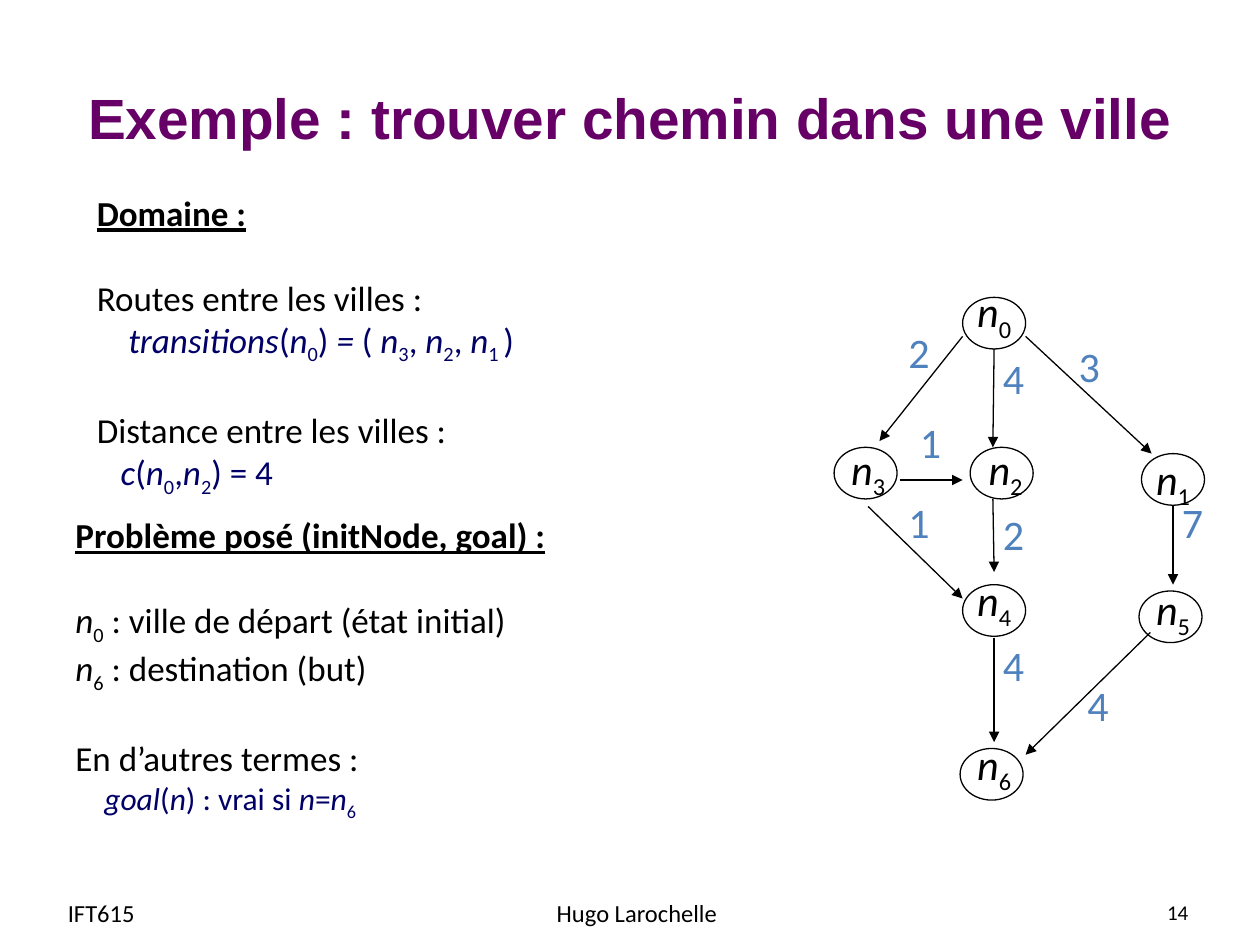
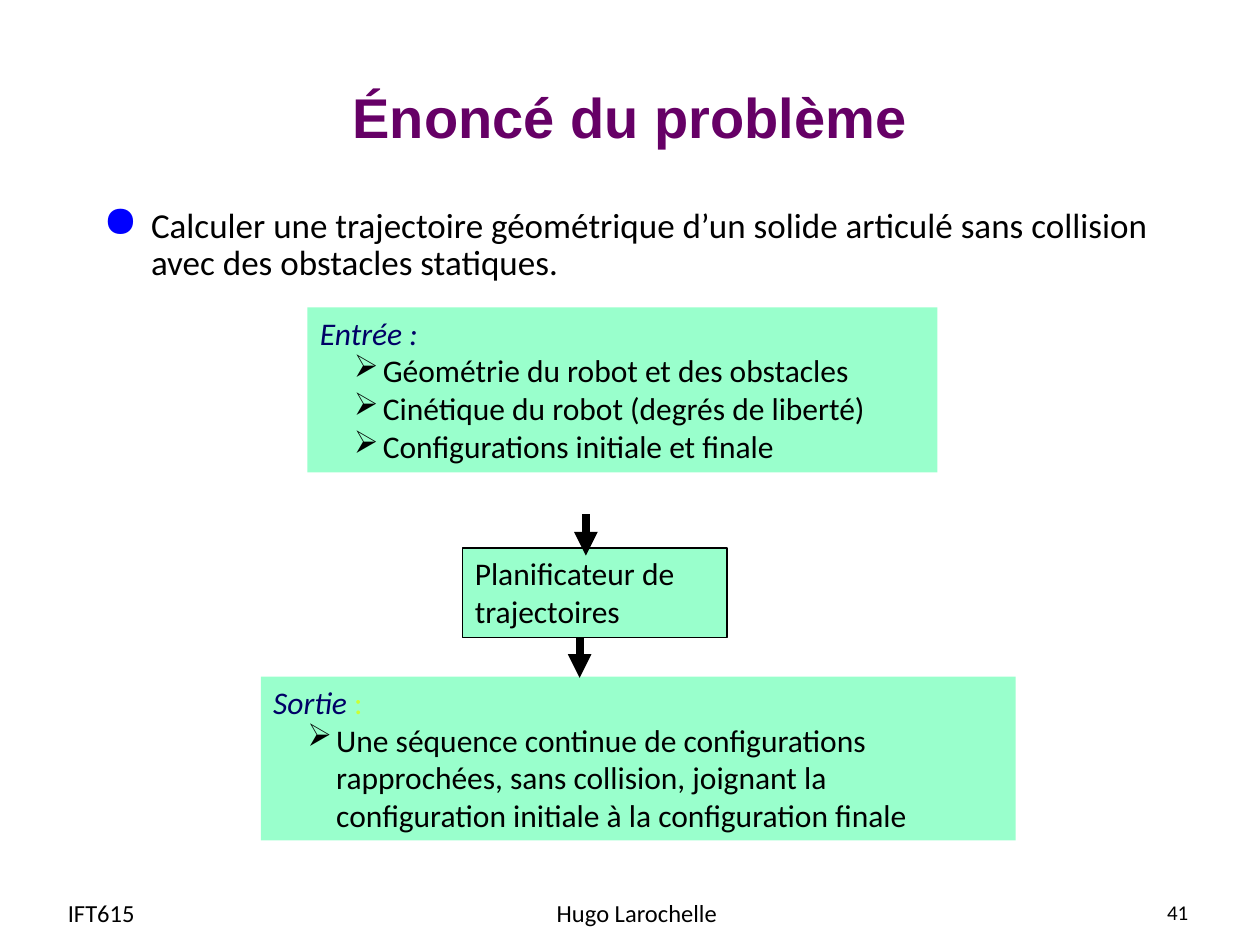
import lxml.etree
import pptx
import pptx.dml.color
import pptx.enum.shapes
import pptx.enum.text
import pptx.oxml.ns
import pptx.util

PX = 9144
COLORS = {"black": "000000", "purple": "660066", "navy": "000066", "blue": "4F81BD",
          "bullet": "0000FF", "mint": "99FFCC", "lime": "CCFF33"}
MARKS = {"*": "italic", "_": "sub", "~": "lime"}
ALIGN = pptx.enum.text.PP_ALIGN
MIDDLE = pptx.enum.text.MSO_ANCHOR.MIDDLE
SHAPE = pptx.enum.shapes.MSO_SHAPE

HEAD = {"size": 20, "bold": True, "underline": True}
TEXT = {"size": 20}
GAP = {"size": 20, "before": 24.4}
MATH = {"size": 20, "color": "navy"}
ITEM = {"size": 18, "bullet": "➢", "left": 50, "hang": 23}
LABEL = {"size": 24, "align": ALIGN.CENTER}
COST = {**LABEL, "color": "blue"}
TITLE = {"font": "Arial", "color": "purple", "bold": True, "align": ALIGN.CENTER}
BODY = {"size": 20, "bullet": "●", "bullet_color": "bullet", "bullet_size": 125,
        "left": 38, "hang": 38, "spacing": 0.9}

TITLE_BOX = (50, 30, 900, 125)
FOOTER_Y, FOOTER_H = 704, 40
PAGE_X, PAGE_W = 720, 233
FOOTERS = [("IFT615", 44, 193, ALIGN.LEFT), ("Hugo Larochelle", 347, 317, ALIGN.CENTER)]

CITY_TEXTS = [
    ((67, 147, 493, 246), [
        ("Domaine :", HEAD),
        ("Routes entre les villes :", GAP),
        ("*transitions*(*n*_0_) *=* ( *n*_3_, *n*_2_, *n*_1 _)", {**MATH, "left": 25}),
        ("Distance entre les villes :", GAP),
        ("*c*(*n*_0_,*n*_2_) = 4", {**MATH, "left": 19}),
    ]),
    ((50, 403, 442, 246), [
        ("Problème posé (initNode, goal) :", HEAD),
        ("*n*_0_ : ville de départ (état initial)", GAP),
        ("*n*_6_ : destination (but)", TEXT),
        ("En d’autres termes :", GAP),
        ("*goal*(*n*) : vrai si *n*=*n*_6_", {**MATH, "size": 18, "left": 23}),
    ]),
]

NODE_W, NODE_H = 50, 41
LABEL_W, COST_W, LABEL_H = 52, 37, 50
NODES = {
    0: ((764, 236), (763, 222)),
    3: ((662, 355), (663, 347)),
    2: ((770, 355), (772, 347)),
    1: ((906, 360), (905, 355)),
    4: ((764, 464), (763, 451)),
    6: ((762, 594), (763, 581)),
    5: ((904, 469), (905, 458)),
}
ROADS = [
    (4, (789, 277), (788, 355), (786, 275)),
    (3, (814, 267), (914, 360), (846, 265)),
    (2, (764, 267), (698, 350), (711, 254)),
    (1, (714, 381), (764, 381), (720, 326)),
    (1, (689, 402), (764, 475), (711, 389)),
    (2, (788, 396), (789, 454), (786, 399)),
    (4, (789, 506), (789, 589), (786, 503)),
    (7, (931, 402), (931, 464), (928, 389)),
    (4, (913, 502), (814, 599), (853, 534)),
]

STATEMENT = "Calculer une trajectoire géométrique d’un solide articulé sans collision avec des obstacles statiques."
BLOCK_HEAD = {"size": 18, "color": "navy"}
BLOCKS = [
    ((367, 435, 210, 71), "black", [("Planificateur de trajectoires", {"size": 18})]),
    ((244, 244, 500, 131), None, [
        ("*Entrée :*", BLOCK_HEAD),
        ("Géométrie du robot et des obstacles", ITEM),
        ("Cinétique du robot (degrés de liberté)", ITEM),
        ("Configurations initiale et finale", ITEM),
    ]),
    ((207, 537, 599, 130), None, [
        ("*Sortie*~ :~", BLOCK_HEAD),
        ("Une séquence continue de configurations rapprochées, sans collision, "
         "joignant la configuration initiale à la configuration finale", ITEM),
    ]),
]
FLOW = [((465, 408), (465, 441)), ((460, 506), (460, 538))]


def emu(values):
    return [v * PX for v in values]


def rgb(name):
    return pptx.dml.color.RGBColor.from_string(COLORS[name])


def sub(parent, tag, **attrs):
    el = lxml.etree.SubElement(parent, pptx.oxml.ns.qn("a:" + tag))
    for key, value in attrs.items():
        el.set(key, str(value))
    return el


def split_marks(text):
    active, start = set(), 0
    for i, ch in enumerate(text):
        if ch in MARKS:
            if i > start:
                yield text[start:i], set(active)
            active ^= {MARKS[ch]}
            start = i + 1
    if start < len(text):
        yield text[start:], active


def add_runs(p, text, fmt):
    for part, marks in split_marks(text):
        r = p.add_run()
        r.text = part
        values = {"name": fmt.get("font", "Calibri"), "size": pptx.util.Pt(fmt["size"]),
                  "bold": fmt.get("bold", False), "underline": fmt.get("underline", False),
                  "italic": "italic" in marks}
        for key, value in values.items():
            setattr(r.font, key, value)
        r.font.color.rgb = rgb("lime" if "lime" in marks else fmt.get("color", "black"))
        if "sub" in marks:
            r._r.get_or_add_rPr().set("baseline", "-25000")


def format_paragraph(p, fmt):
    values = {"alignment": fmt.get("align", ALIGN.LEFT),
              "space_before": pptx.util.Pt(fmt.get("before", 0)),
              "line_spacing": fmt.get("spacing", 1.0)}
    for key, value in values.items():
        setattr(p, key, value)
    pPr = p._p.get_or_add_pPr()
    pPr.set("marL", str(fmt.get("left", 0) * PX))
    pPr.set("indent", str(-fmt.get("hang", 0) * PX))
    if "bullet_color" in fmt:
        sub(sub(pPr, "buClr"), "srgbClr", val=COLORS[fmt["bullet_color"]])
    if "bullet_size" in fmt:
        sub(pPr, "buSzPct", val=fmt["bullet_size"] * 1000)
    if "bullet" in fmt:
        sub(pPr, "buChar", char=fmt["bullet"])


def fill_text(sp, paragraphs, anchor=pptx.enum.text.MSO_ANCHOR.TOP, wrap=True):
    tf = sp.text_frame
    tf.word_wrap = wrap
    tf.vertical_anchor = anchor
    for i, (text, fmt) in enumerate(paragraphs):
        p = tf.add_paragraph() if i else tf.paragraphs[0]
        format_paragraph(p, fmt)
        add_runs(p, text, fmt)


def add_text(s, box, paragraphs, **options):
    fill_text(s.shapes.add_textbox(*emu(box)), paragraphs, **options)


def add_shape(s, kind, box, fill=None, line=None):
    sp = s.shapes.add_shape(kind, *emu(box))
    sp.shadow.inherit = False
    for part, color in ((sp.fill, fill), (sp.line.fill, line)):
        if color:
            part.solid()
            part.fore_color.rgb = rgb(color)
        else:
            part.background()
    if line:
        sp.line.width = pptx.util.Pt(0.75)
    return sp


def add_arrow(s, start, end, width):
    c = s.shapes.add_connector(pptx.enum.shapes.MSO_CONNECTOR.STRAIGHT, *emu(start + end))
    c.line.color.rgb = rgb("black")
    c.line.width = pptx.util.Pt(width)
    sub(c.line._get_or_add_ln(), "tailEnd", type="triangle")
    sub(c._element.spPr, "effectLst")


def add_slide(prs, title, size, page):
    s = prs.slides.add_slide(prs.slide_layouts[6])
    add_text(s, TITLE_BOX, [(title, {**TITLE, "size": size})], anchor=MIDDLE)
    for text, x, w, align in FOOTERS:
        add_text(s, (x, FOOTER_Y, w, FOOTER_H), [(text, {"size": 14, "align": align})], anchor=MIDDLE)
    add_text(s, (PAGE_X, FOOTER_Y, PAGE_W, FOOTER_H),
             [(str(page), {"size": 12, "align": ALIGN.RIGHT})], anchor=MIDDLE)
    return s


def build_city(prs):
    s = add_slide(prs, "Exemple : trouver chemin dans une ville", 32.4, 14)
    for number, (corner, label) in NODES.items():
        add_shape(s, SHAPE.OVAL, corner + (NODE_W, NODE_H), line="black")
        add_text(s, label + (LABEL_W, LABEL_H), [(f"*n*_{number}_", LABEL)], wrap=False)
    for cost, start, end, label in ROADS:
        add_arrow(s, start, end, 0.75)
        add_text(s, label + (COST_W, LABEL_H), [(str(cost), COST)], wrap=False)
    for box, paragraphs in CITY_TEXTS:
        add_text(s, box, paragraphs)


def build_problem(prs):
    s = add_slide(prs, "Énoncé du problème", 32, 41)
    add_text(s, (72, 160, 899, 511), [(STATEMENT, BODY)])
    for box, line, paragraphs in BLOCKS:
        fill_text(add_shape(s, SHAPE.RECTANGLE, box, "mint", line), paragraphs)
    for start, end in FLOW:
        add_arrow(s, start, end, 4.5)


def main():
    prs = pptx.Presentation()
    prs.slide_width, prs.slide_height = emu((1000, 750))
    build_city(prs)
    build_problem(prs)
    prs.save("out.pptx")


if __name__ == "__main__":
    main()
